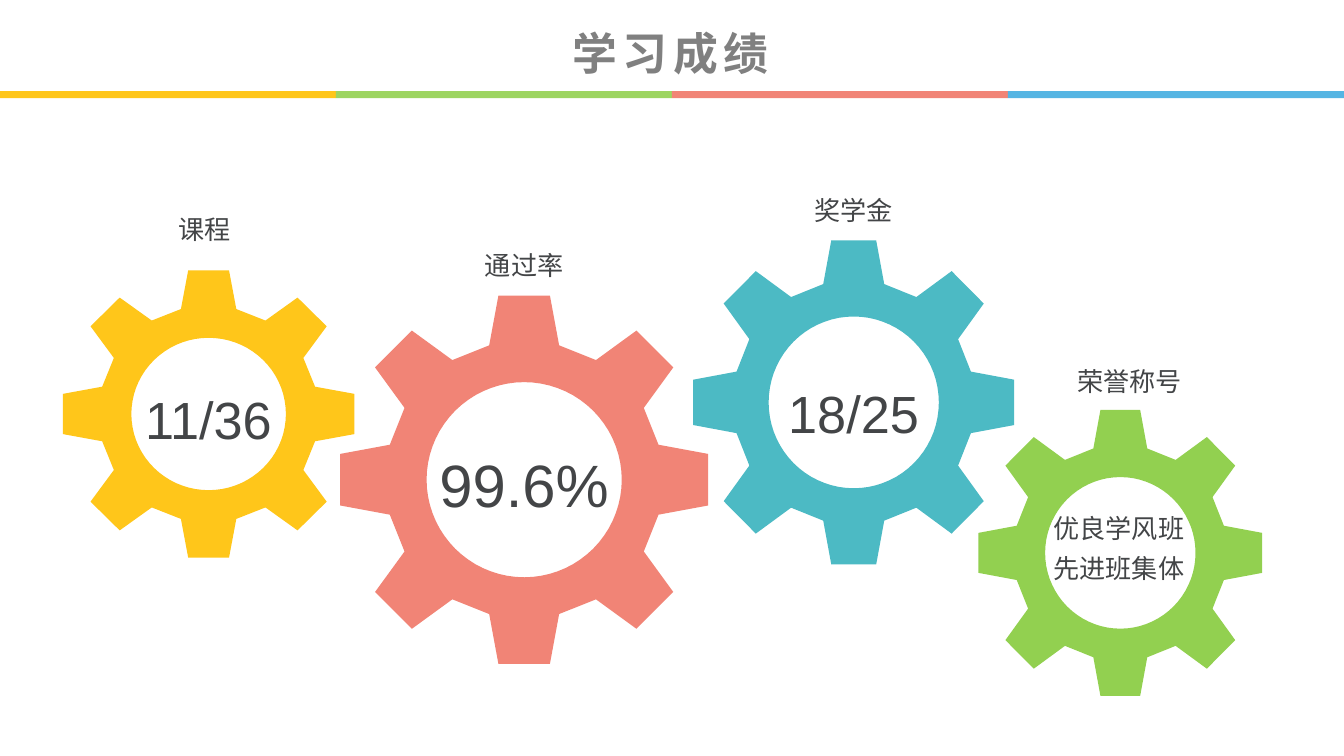
from dataclasses import dataclass
from math import cos, sin, tau

from pptx import Presentation
from pptx.dml.color import RGBColor
from pptx.enum.shapes import MSO_SHAPE
from pptx.enum.text import MSO_ANCHOR, PP_ALIGN
from pptx.util import Pt

COLORS = {
    "amber": "FFC61A", "lime": "9DD561", "coral": "F18476", "sky": "55B5E3",
    "teal": "4CBAC4", "green": "92D050", "gray": "808080", "ink": "434547",
}
WIDTH, HEIGHT = 720, 405
# Gear outline in one quarter, from the top tooth to the side tooth, radius 1
QUARTER = [(0.14, 1), (0.19, 0.73), (0.39, 0.65), (0.61, 0.81),
           (0.81, 0.61), (0.65, 0.39), (0.73, 0.19), (1, 0.14)]
HOLE = 0.53
STEPS = 72


@dataclass
class Gear:
    x: float
    y: float
    rx: float
    ry: float
    color: str


@dataclass
class Label:
    text: str
    x: float
    y: float
    w: float
    h: float
    size: float = 14
    color: str = "ink"
    bold: bool = False
    space: float = 1.3


GEARS = [
    Gear(111.8, 221.8, 78.1, 77, "amber"),
    Gear(457.4, 215.6, 86, 86.8, "teal"),
    Gear(280.8, 257, 98.6, 98.6, "coral"),
    Gear(600.2, 296.2, 76, 76.6, "green"),
]
TITLE = Label("学习成绩", 37.4, 10.8, 643.7, 38.2, 24, "gray", True, 0.9)
LABELS = [
    Label("课程", 54, 105.8, 110.9, 28.8),
    Label("通过率", 225.4, 125.3, 110.9, 28.8),
    Label("奖学金", 401.8, 95.8, 110.9, 28.8),
    Label("荣誉称号", 545.8, 187.2, 118.8, 27.4),
    Label("11/36", 56.2, 193.7, 110.9, 51.1, 28),
    Label("99.6%", 225.4, 224.6, 110.9, 56.9, 32),
    Label("18/25", 401.8, 190.8, 110.9, 51.1, 28),
    Label("优良学风班\n先进班集体", 540, 265.7, 118.8, 73.4),
]


def paint(shape, color: str) -> None:
    shape.shadow.inherit = False
    shape.fill.solid()
    shape.fill.fore_color.rgb = RGBColor.from_string(COLORS[color])
    shape.line.fill.background()


def draw_gear(shapes, gear: Gear) -> None:
    def place(x: float, y: float) -> tuple[int, int]:
        return Pt(gear.x + x * gear.rx), Pt(gear.y + y * gear.ry)

    # Mirror the quarter clockwise around the centre
    back = QUARTER[::-1]
    rim = [(x, -y) for x, y in QUARTER] + back
    rim += [(-x, y) for x, y in QUARTER] + [(-x, -y) for x, y in back]
    ring = [(HOLE * cos(tau * i / STEPS), -HOLE * sin(tau * i / STEPS))
            for i in range(STEPS)]

    pen = shapes.build_freeform(*place(*rim[0]))
    pen.add_line_segments([place(*p) for p in rim[1:]], close=True)
    pen.move_to(*place(*ring[0]))
    pen.add_line_segments([place(*p) for p in ring[1:]], close=True)
    paint(pen.convert_to_shape(), gear.color)


def draw_label(shapes, label: Label):
    box = shapes.add_textbox(Pt(label.x), Pt(label.y), Pt(label.w), Pt(label.h))
    frame = box.text_frame
    frame.word_wrap = True
    frame.text = label.text
    for para in frame.paragraphs:
        para.alignment = PP_ALIGN.CENTER
        para.line_spacing = label.space
        for run in para.runs:
            font = run.font
            font.name = "Arial"
            font.size = Pt(label.size)
            font.bold = label.bold
            font.color.rgb = RGBColor.from_string(COLORS[label.color])
    return frame


def main() -> None:
    deck = Presentation()
    deck.slide_width, deck.slide_height = Pt(WIDTH), Pt(HEIGHT)
    shapes = deck.slides.add_slide(deck.slide_layouts[6]).shapes

    # Four-colour rule under the title
    bands = ["amber", "lime", "coral", "sky"]
    step = WIDTH / len(bands)
    for i, color in enumerate(bands):
        band = shapes.add_shape(MSO_SHAPE.RECTANGLE, Pt(i * step), Pt(48.8),
                                Pt(step), Pt(3.8))
        paint(band, color)

    # Title with wide letter spacing
    frame = draw_label(shapes, TITLE)
    frame.vertical_anchor = MSO_ANCHOR.MIDDLE
    frame.margin_top = frame.margin_bottom = Pt(2.9)
    frame.paragraphs[0].runs[0].font._element.set("spc", "300")

    # Gears, then their captions and figures
    for gear in GEARS:
        draw_gear(shapes, gear)
    for label in LABELS:
        draw_label(shapes, label)

    deck.save("out.pptx")


if __name__ == "__main__":
    main()
